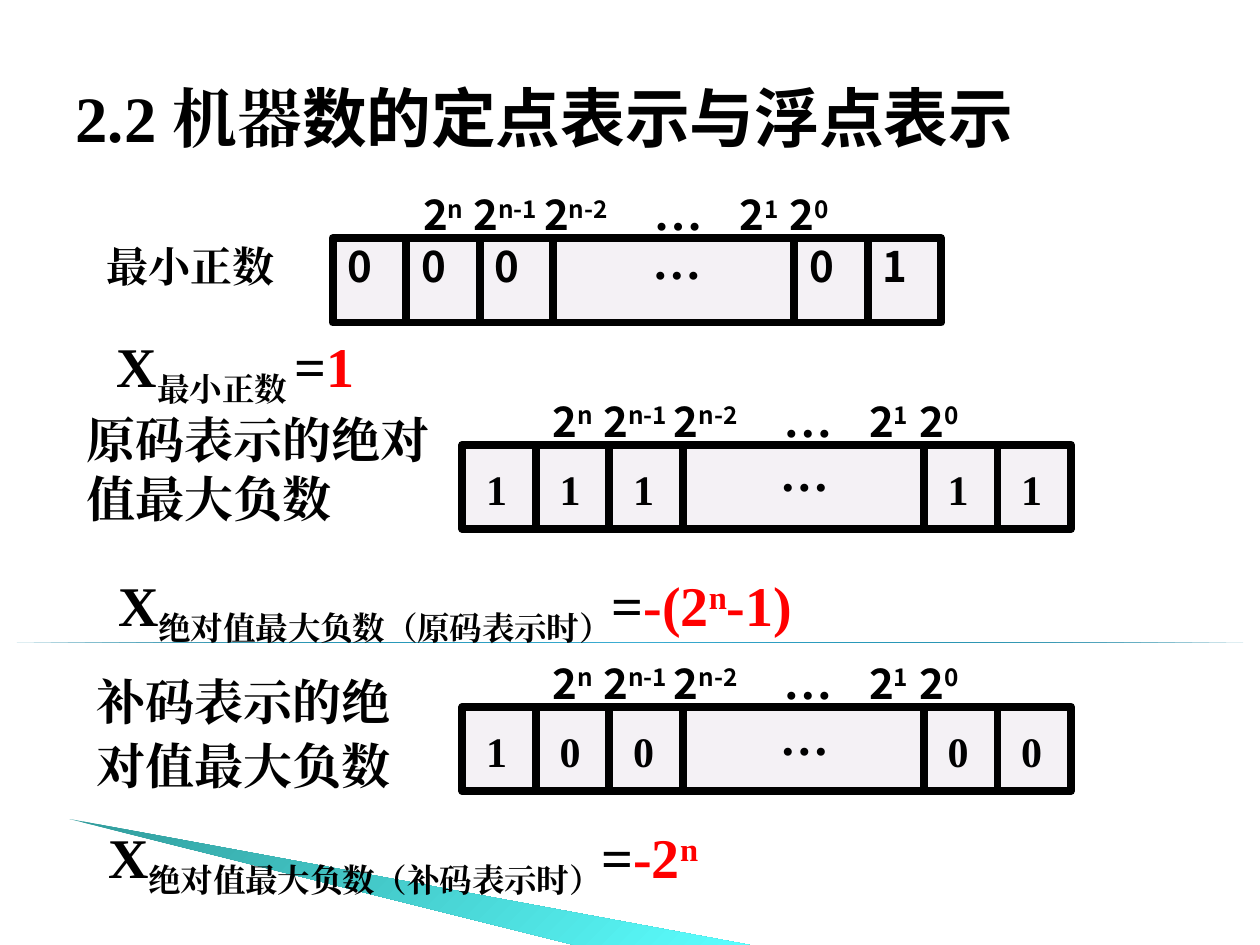
from lxml.etree import SubElement
from pptx import Presentation
from pptx.dml.color import RGBColor
from pptx.enum.shapes import MSO_CONNECTOR as Connector, MSO_SHAPE as Shape
from pptx.enum.text import MSO_ANCHOR as Anchor, PP_ALIGN as Align
from pptx.oxml.ns import qn
from pptx.util import Inches, Pt

BLACK = RGBColor(0x00, 0x00, 0x00)
RED = RGBColor(0xFF, 0x00, 0x00)
CELL_FILL = RGBColor(0xF4, 0xF1, 0xF5)
DEEP_TEAL = RGBColor(0x00, 0x78, 0x97)
SKY = RGBColor(0x4A, 0xBB, 0xE0)
SEA = RGBColor(0x31, 0x9C, 0x9C)
AQUA = RGBColor(0x5B, 0xFF, 0xFF)

SERIF = "Times New Roman"
SANS = "Noto Sans CJK SC"
SUPER, SUB = 30, -25

CELL = 7 / 12
REGISTER_WIDTH, REGISTER_HEIGHT = 4.83, 0.67
# Left edges of the three leading and the two trailing bit cells
CELL_EDGES = [0, CELL, 2 * CELL, REGISTER_WIDTH - 2 * CELL, REGISTER_WIDTH - CELL]
DIVIDERS = CELL_EDGES[1:3] + [3 * CELL] + CELL_EDGES[3:]
WEIGHTS = ["n", "n-1", "n-2", None, "1", "0"]
WEIGHT_TABS = [0.4, 0.96, 1.83, 2.51, 2.91]


class SlideBuilder:
    def __init__(self, slide):
        self.slide = slide
        self.shapes = slide.shapes

    def run(self, paragraph, text, size, font=SERIF, color=BLACK, baseline=0):
        run = paragraph.add_run()
        run.text = text
        run.font.size = Pt(size)
        run.font.bold = True
        run.font.name = font
        run.font.color.rgb = color
        properties = run.font._element
        SubElement(properties, qn("a:ea")).set("typeface", font)
        if baseline:
            properties.set("baseline", str(baseline * 1000))

    def title(self, *parts):
        title = self.shapes.title
        title.left, title.top = Inches(0.5), Inches(0.3)
        title.width, title.height = Inches(9), Inches(1.25)
        title.text_frame.vertical_anchor = Anchor.MIDDLE
        paragraph = title.text_frame.paragraphs[0]
        paragraph.alignment = Align.LEFT
        for text, font in parts:
            self.run(paragraph, text, 37, font)

    def box(self, left, top, width, height):
        """Add an empty wrapping text box and return its text frame."""
        frame = self.shapes.add_textbox(
            Inches(left), Inches(top), Inches(width), Inches(height)).text_frame
        frame.word_wrap = True
        return frame

    def label(self, text, left, top, width, height, size, font=SERIF):
        frame = self.box(left, top, width, height)
        self.run(frame.paragraphs[0], text, size, font)
        return frame

    def formula(self, left, top, width, subscript, *value):
        """Write X with a subscript, then its value as (text, baseline) parts in red."""
        paragraph = self.box(left, top, width, 0.83).paragraphs[0]
        paragraph.line_spacing = 1.2
        self.run(paragraph, "X", 32)
        self.run(paragraph, subscript, 32, baseline=SUB)
        self.run(paragraph, "=", 32)
        for text, baseline in value:
            self.run(paragraph, text, 32, color=RED, baseline=baseline)

    def gradient(self, shape, angle, *stops):
        """Fill with (percent, color) stops; the angle runs clockwise."""
        shape.shadow.inherit = False
        shape.line.fill.background()
        shape.fill.gradient()
        shape.fill.gradient_angle = 360 - angle
        stop_list = shape._element.spPr.find(".//" + qn("a:gsLst"))
        for old in list(stop_list):
            stop_list.remove(old)
        for percent, color in stops:
            stop = SubElement(stop_list, qn("a:gs"), pos=str(percent * 1000))
            SubElement(stop, qn("a:srgbClr"), val=str(color))

    def horizon(self):
        line = self.shapes.add_shape(
            Shape.RIGHT_TRIANGLE, 0, Inches(5.1), Inches(10), 0)
        self.gradient(line, 50, (0, DEEP_TEAL), (50, SKY), (100, DEEP_TEAL))

    def wedge(self):
        outline = self.shapes.build_freeform(
            Inches(0.55), Inches(6.5), scale=1.0)
        outline.add_line_segments(
            [(Inches(5.95), Inches(7.5)), (Inches(4.56), Inches(7.5))], close=True)
        self.gradient(outline.convert_to_shape(), 45, (0, SEA), (100, AQUA))

    def register(self, left, top):
        """Draw the bit cells with the weight of each bit above them."""
        frame = self.shapes.add_shape(
            Shape.RECTANGLE, Inches(left), Inches(top),
            Inches(REGISTER_WIDTH), Inches(REGISTER_HEIGHT))
        frame.shadow.inherit = False
        frame.fill.solid()
        frame.fill.fore_color.rgb = CELL_FILL
        self.outline(frame)
        for edge in DIVIDERS:
            x = Inches(left + edge)
            divider = self.shapes.add_connector(
                Connector.STRAIGHT, x, Inches(top), x, Inches(top + REGISTER_HEIGHT))
            self.outline(divider)
            SubElement(divider._element.spPr, qn("a:effectLst"))
        self.weights(left + 0.62, top - 0.5)

    def outline(self, shape):
        shape.line.color.rgb = BLACK
        shape.line.width = Pt(4.5)

    def weights(self, left, top):
        frame = self.box(left, top, 3.6, 0.57)
        frame.vertical_anchor = Anchor.MIDDLE
        paragraph = frame.paragraphs[0]
        tabs = SubElement(paragraph._p.get_or_add_pPr(), qn("a:tabLst"))
        for position in WEIGHT_TABS:
            SubElement(tabs, qn("a:tab"), pos=str(Inches(position)), algn="l")
        for index, exponent in enumerate(WEIGHTS):
            if index:
                self.run(paragraph, "\t", 24, SANS)
            if exponent is None:
                self.run(paragraph, "…", 28)
            else:
                self.run(paragraph, "2", 24, SANS)
                self.run(paragraph, exponent, 24, SANS, baseline=SUPER)

    def bits(self, digits, left, top, font, ellipsis_left, ellipsis_top):
        for digit, edge in zip(digits, CELL_EDGES):
            self.label(digit, left + edge, top, 0.67, 0.5, 24, font)
        self.label("…", ellipsis_left, ellipsis_top, 1.08, 0.57, 28)


def main():
    deck = Presentation()
    deck.slide_width, deck.slide_height = Inches(10), Inches(7.5)
    page = SlideBuilder(deck.slides.add_slide(deck.slide_layouts[5]))

    page.horizon()
    page.wedge()
    page.title(("2.2 机器", SERIF), ("数的定点表示与浮点表示", SANS))
    for left, top in [(3.67, 5.61), (3.67, 3.53), (2.64, 1.89)]:
        page.register(left, top)

    page.label("最小正数", 0.75, 1.86, 2.08, 0.5, 24)
    page.bits("00001", 2.66, 1.86, SANS, 5.08, 1.78)
    page.formula(0.83, 2.46, 8, "最小正数 ", ("1", 0))

    page.label("原码表示的绝对值最大负数", 0.59, 3.2, 2.92, 1.04, 28)
    page.bits("11111", 3.76, 3.63, SERIF, 6.09, 3.46)
    page.formula(0.84, 4.36, 8.83, "绝对值最大负数（原码表示时）",
                 ("-(2", 0), ("n", SUPER), ("-1)", 0))

    complement = page.label("补码表示的绝", 0.67, 5.28, 3.25, 1.05, 28)
    second_line = complement.add_paragraph()
    second_line.line_spacing = 0.5
    second_line.space_before = Pt(17.5)
    page.run(second_line, "对值最大负数", 28)
    page.bits("10000", 3.76, 5.71, SERIF, 6.09, 5.56)
    page.formula(0.76, 6.36, 8.92, "绝对值最大负数（补码表示时）",
                 ("-2", 0), ("n", SUPER))

    deck.save("out.pptx")


if __name__ == "__main__":
    main()
